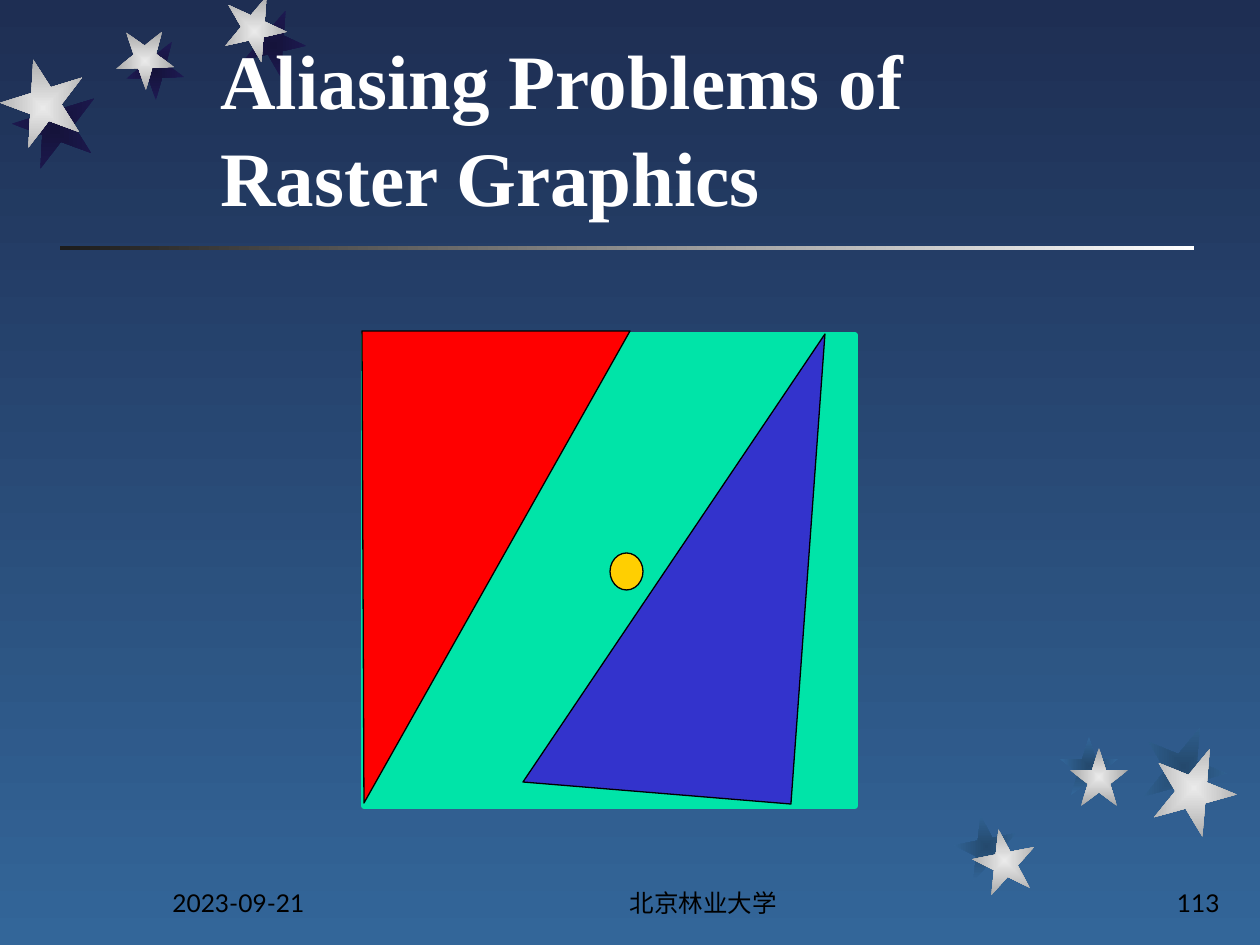
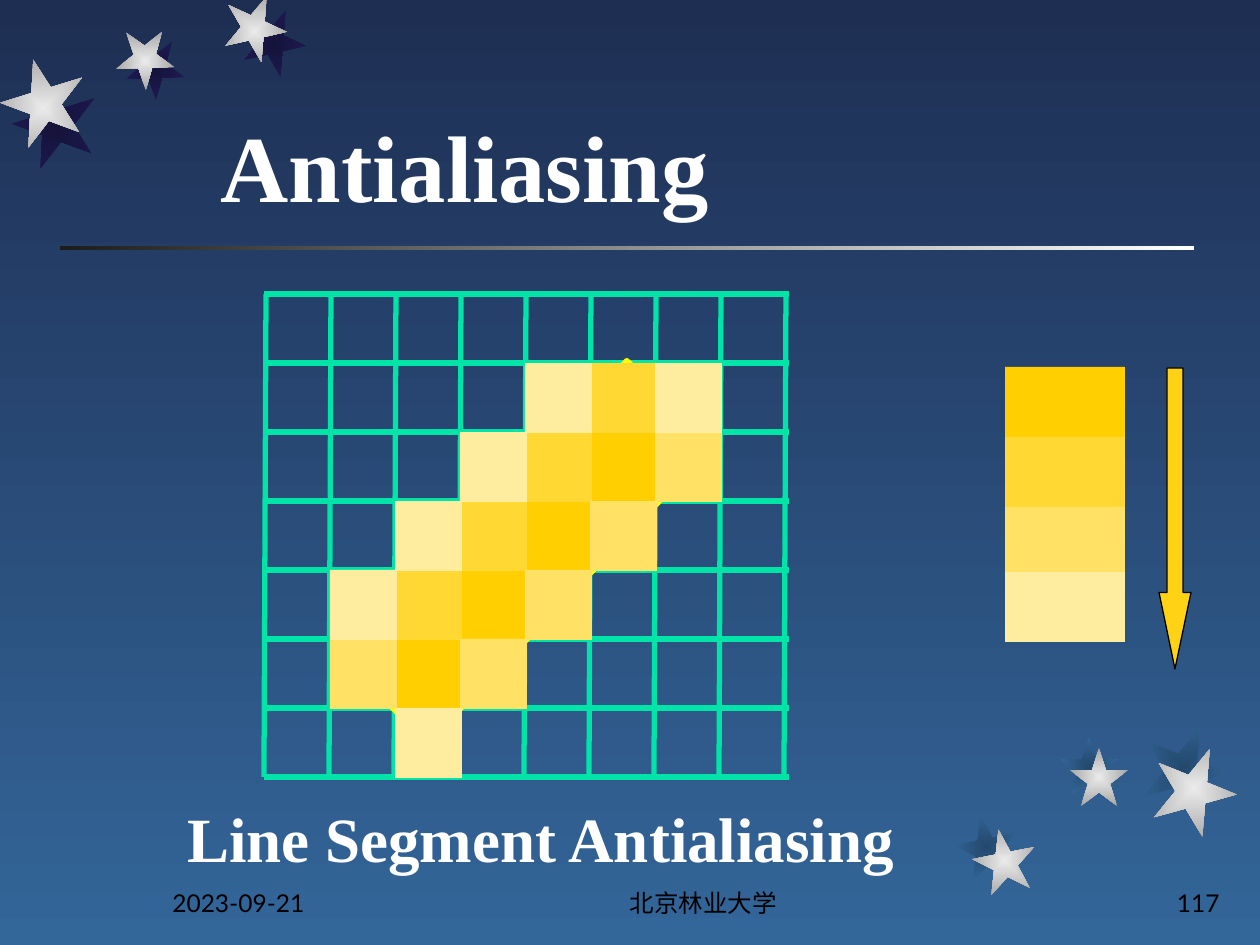
import dataclasses
import typing

import pptx
import pptx.dml.color
import pptx.enum.shapes
import pptx.enum.text
import pptx.oxml.ns
import pptx.util
from lxml import etree

SCALE = 914400 / 126  # EMU per px
KIND = pptx.enum.shapes.MSO_SHAPE
ALIGN = pptx.enum.text.PP_ALIGN
ANCHOR = pptx.enum.text.MSO_ANCHOR
qn = pptx.oxml.ns.qn

SKY = ("1E2E53", "336699")
RULE = ("1C1C1C", "FFFFFF")
SILVER = ("EAEAEA", "A7A7A7")
NIGHT = ("15133B", "1E1A53")
DUSK = ("24496D", "336699")
GREEN, BLACK, WHITE = "00E4A8", "000000", "FFFFFF"
SHADES = {"A": "FFCF01", "B": "FFD833", "C": "FFE265", "D": "FFED9F"}


@dataclasses.dataclass(frozen=True)
class Box:
    x: int
    y: int
    w: int
    h: int


@dataclasses.dataclass(frozen=True)
class Star:
    x: int
    y: int
    side: int
    turn: float
    dx: int
    dy: int
    shade: tuple[str, str]


@dataclasses.dataclass(frozen=True)
class Style:
    font: str
    size: int
    color: str
    bold: bool = False
    align: typing.Any = ALIGN.LEFT
    anchor: typing.Any = ANCHOR.BOTTOM
    para: dict = dataclasses.field(default_factory=dict)


STARS = [
    Star(223, 0, 63, 167.3, 19, 14, NIGHT),
    Star(116, 32, 58, 178.3, 10, 10, NIGHT),
    Star(1, 66, 84, 200.3, 12, 21, NIGHT),
    Star(973, 829, 63, 349, -18, -14, DUSK),
    Star(1070, 748, 58, 0, -10, -11, DUSK),
    Star(1152, 746, 84, 22, -10, -21, DUSK),
]
SERIF = "Times New Roman"
TITLE = Box(208, 79, 842, 149)
FOOT = Style("Lato", 14, BLACK)
CAPTION = Style(SERIF, 36, WHITE, True, anchor=ANCHOR.TOP,
                para={"space_before": pptx.util.Pt(4)})


def px(n: float) -> int:
    return round(n * SCALE)


def rgb(code: str) -> pptx.dml.color.RGBColor:
    return pptx.dml.color.RGBColor.from_string(code)


def apply(item: typing.Any, values: dict) -> None:
    for name, value in values.items():
        setattr(item, name, value)


def blend(fill: typing.Any, pair: tuple[str, str], angle: int) -> None:
    """Fill with two colours; the angle runs counter-clockwise."""
    fill.gradient()
    fill.gradient_angle = angle
    for stop, code, place in zip(fill.gradient_stops, pair, (0, 1)):
        stop.color.rgb = rgb(code)
        stop.position = place


def glow(shape: typing.Any) -> None:
    """Turn a linear gradient into one that spreads from the centre."""
    grad = shape._element.spPr.find(qn("a:gradFill"))
    grad.remove(grad.find(qn("a:lin")))
    spread = etree.SubElement(grad, qn("a:path"), {"path": "shape"})
    sides = dict.fromkeys("ltrb", "50000")
    etree.SubElement(spread, qn("a:fillToRect"), sides)


def paint(shape: typing.Any, fill: str | tuple[str, str],
          line: str | None = None, width: float = 0.75) -> None:
    shape.shadow.inherit = False
    if isinstance(fill, tuple):
        blend(shape.fill, fill, 0)
    else:
        shape.fill.solid()
        shape.fill.fore_color.rgb = rgb(fill)
    if line:
        shape.line.color.rgb = rgb(line)
        shape.line.width = pptx.util.Pt(width)
    else:
        shape.line.fill.background()


def block(slide: typing.Any, kind: typing.Any, box: Box,
          fill: str | tuple[str, str], line: str | None = None,
          width: float = 0.75, turn: float = 0) -> typing.Any:
    shape = slide.shapes.add_shape(
        kind, *map(px, (box.x, box.y, box.w, box.h)))
    shape.rotation = turn
    paint(shape, fill, line, width)
    return shape


def wedge(slide: typing.Any, points: list[tuple[int, int]], fill: str) -> None:
    spots = [(px(x), px(y)) for x, y in points]
    build = slide.shapes.build_freeform(*spots[0])
    build.add_line_segments(spots[1:], close=True)
    paint(build.convert_to_shape(), fill, BLACK)


def wire(slide: typing.Any, x1: int, y1: int, x2: int, y2: int) -> None:
    line = slide.shapes.add_connector(
        pptx.enum.shapes.MSO_CONNECTOR.STRAIGHT, *map(px, (x1, y1, x2, y2)))
    line.line.color.rgb = rgb(GREEN)
    line.line.width = pptx.util.Pt(3)
    etree.SubElement(line._element.spPr, qn("a:effectLst"))


def label(slide: typing.Any, text: str, box: Box, style: Style) -> None:
    frame = slide.shapes.add_textbox(
        *map(px, (box.x, box.y, box.w, box.h))).text_frame
    apply(frame, {"word_wrap": True, "vertical_anchor": style.anchor})
    para = frame.paragraphs[0]
    apply(para, {"alignment": style.align, **style.para})
    run = para.add_run()
    run.text = text
    apply(run.font, {"name": style.font, "bold": style.bold,
                     "size": pptx.util.Pt(style.size)})
    run.font.color.rgb = rgb(style.color)


def star(slide: typing.Any, x: int, y: int, item: Star,
         pair: tuple[str, str]) -> None:
    glow(block(slide, KIND.STAR_5_POINT, Box(x, y, item.side, item.side),
               pair, turn=item.turn))


def start(deck: typing.Any, title: str, size: int, page: str) -> typing.Any:
    """Add a slide with the stars, rule, footer and title."""
    slide = deck.slides.add_slide(deck.slide_layouts[6])
    block(slide, KIND.RECTANGLE, Box(60, 246, 1134, 4), RULE)
    for item in STARS:
        star(slide, item.x + item.dx, item.y + item.dy, item, item.shade)
    for item in STARS:
        star(slide, item.x, item.y, item, SILVER)
    for text, x, w, align in (("2023-09-21", 160, 262, ALIGN.LEFT),
                              ("北京林业大学", 504, 399, ALIGN.CENTER),
                              (page, 970, 262, ALIGN.RIGHT)):
        label(slide, text, Box(x, 861, w, 63),
              dataclasses.replace(FOOT, align=align))
    label(slide, title, TITLE, Style(SERIF, size, WHITE, True,
                                     para={"line_spacing": 1.05}))
    return slide


def alias(deck: typing.Any) -> None:
    slide = start(deck, "Aliasing Problems of Raster Graphics", 44, "113")
    block(slide, KIND.RECTANGLE, Box(364, 335, 491, 471), GREEN, GREEN, 3)
    wedge(slide, [(630, 331), (364, 803), (362, 331)], "FF0000")
    wedge(slide, [(523, 782), (825, 334), (791, 804)], "3333CC")
    block(slide, KIND.OVAL, Box(610, 553, 33, 37), SHADES["A"], BLACK)


def mesh(slide: typing.Any) -> None:
    """Draw the pixel grid, the ideal line and the shaded cells."""
    left, top, wide, high = 266, 294, 65, 69
    cols, rows = 8, 7
    end = top + rows * high
    for col in range(cols + 1):
        x = left + col * wide
        wire(slide, x, top, x - 2, end)
    for row in range(rows + 1):
        y = top + row * high
        wire(slide, left - 2, y, left + cols * wide + 3, y)

    band = block(slide, KIND.RECTANGLE, Box(467, 345, 121, 413),
                 GREEN, "FFFF00", 3, 43.8)
    tint = band._element.spPr.find(qn("a:solidFill"))[0]
    etree.SubElement(tint, qn("a:alpha"), {"val": "70000"})

    cells = ["", "....DBD", "...DBAC", "..DBAC", ".DBAC", ".CAC", "..D"]
    for shade, fill in SHADES.items():
        for row, marks in enumerate(cells):
            for col, mark in enumerate(marks):
                if mark == shade:
                    box = Box(left - 1 + col * wide, top + row * high, 67, 70)
                    block(slide, KIND.RECTANGLE, box, fill)


def smooth(deck: typing.Any) -> None:
    slide = start(deck, "Antialiasing", 54, "117")
    label(slide, "Line Segment Antialiasing", Box(175, 793, 896, 83), CAPTION)
    mesh(slide)
    y = 367
    for fill, high in zip(SHADES.values(), (70, 70, 65, 70)):
        block(slide, KIND.RECTANGLE, Box(1005, y, 120, high), fill)
        y += high
    arrow = block(slide, KIND.DOWN_ARROW, Box(1159, 368, 32, 301),
                  "FFD215", BLACK)
    arrow.adjustments[0] = 0.5
    arrow.adjustments[1] = 2.39


def main() -> None:
    deck = pptx.Presentation()
    apply(deck, {"slide_width": px(1260), "slide_height": px(945)})
    blend(deck.slide_master.background.fill, SKY, 270)
    alias(deck)
    smooth(deck)
    deck.save("out.pptx")


if __name__ == "__main__":
    main()
